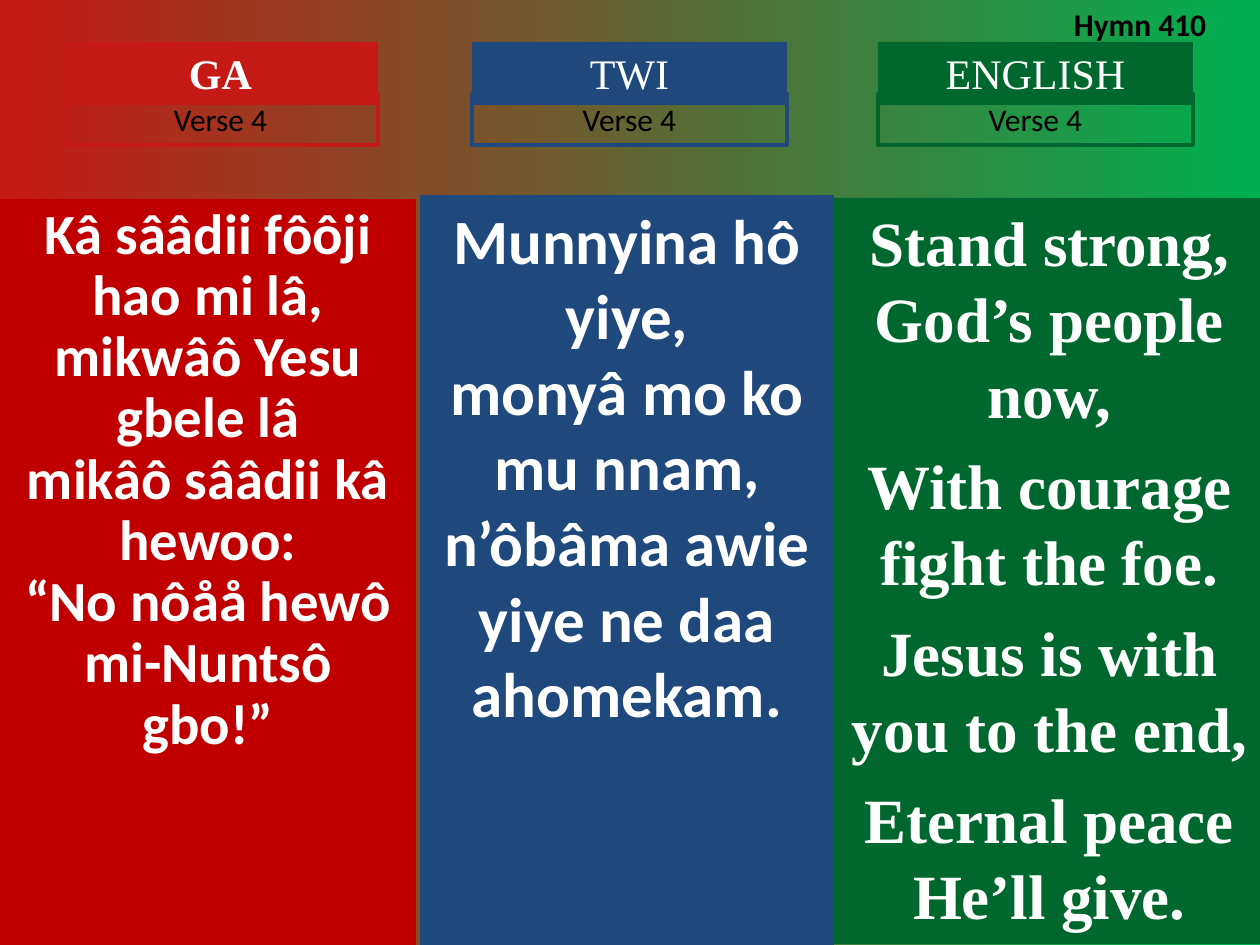
from dataclasses import dataclass

from pptx import Presentation
from pptx.dml.color import RGBColor
from pptx.enum.shapes import MSO_SHAPE
from pptx.enum.text import MSO_ANCHOR, MSO_AUTO_SIZE, PP_ALIGN
from pptx.oxml.xmlchemy import OxmlElement
from pptx.util import Pt

PX = 914400 / 126
RECT = MSO_SHAPE.RECTANGLE
TOP = MSO_ANCHOR.TOP
FIXED = MSO_AUTO_SIZE.NONE
LEFT, MID = PP_ALIGN.LEFT, PP_ALIGN.CENTER


@dataclass(frozen=True)
class Theme:
    """Colours, fonts and type sizes of the hymn slide."""
    white: str = "FFFFFF"
    black: str = "000000"
    red: str = "C51915"
    deep: str = "C00000"
    blue: str = "1F497D"
    green: str = "00682F"
    lime: str = "00B050"
    sans: str = "Calibri"
    serif: str = "Times New Roman"
    small: float = 18
    head: float = 24
    ga: float = 32.4
    verse: float = 36
    edge: float = 2.25


def emu(*box):
    """Turn px lengths into EMU."""
    return [round(n * PX) for n in box]


def write(shape, *lines, font, size, color, bold=False, align=MID,
          space=1.0, gap=0):
    """Write one paragraph per line with the given format."""
    frame = shape.text_frame
    frame.word_wrap = True
    frame.auto_size = FIXED
    frame.vertical_anchor = TOP
    frame.margin_left, frame.margin_top = emu(13, 6)
    frame.margin_right, frame.margin_bottom = emu(13, 6)
    for i, line in enumerate(lines):
        para = frame.paragraphs[0] if i == 0 else frame.add_paragraph()
        props = para._p.get_or_add_pPr()
        props.set("marL", "0")
        props.set("indent", "0")
        props.append(OxmlElement("a:buNone"))
        para.alignment = align
        para.line_spacing = space
        para.space_before = Pt(gap if i else 0)
        para.space_after = Pt(0)
        run = para.add_run()
        run.text = line
        run.font.name = font
        run.font.size = Pt(size)
        run.font.bold = bold
        run.font.color.rgb = RGBColor.from_string(color)


class Deck:
    """Holds the theme and the current slide."""

    def __init__(self, theme):
        """Start a deck with one three-column slide."""
        self.theme = theme
        self.file = Presentation()
        self.file.slide_width, self.file.slide_height = emu(1260, 945)
        self.slide = self.file.slides.add_slide(self.file.slide_layouts[4])
        spare = self.slide.placeholders[4]._element
        spare.getparent().remove(spare)

    def ground(self, *colors):
        """Fill the background with a level gradient."""
        fill = self.slide.background.fill
        fill.gradient()
        fill.gradient_angle = 0
        for stop, color in zip(fill.gradient_stops, colors):
            stop.color.rgb = RGBColor.from_string(color)

    def place(self, shape, box):
        """Move a placeholder to a px box."""
        shape.left, shape.top, shape.width, shape.height = emu(*box)
        return shape

    def title(self, text, box):
        """Write the hymn number in the title."""
        t = self.theme
        write(self.place(self.slide.shapes.title, box), text, font=t.sans,
              size=t.small, color=t.black, bold=True, align=LEFT)

    def panel(self, index, box, color, lines, **form):
        """Fill a body placeholder with the verse."""
        body = self.place(self.slide.placeholders[index], box)
        body.fill.solid()
        body.fill.fore_color.rgb = RGBColor.from_string(color)
        write(body, *lines, color=self.theme.white, bold=True, **form)

    def rect(self, box):
        """Add a plain rectangle."""
        shape = self.slide.shapes.add_shape(RECT, *emu(*box))
        shape.shadow.inherit = False
        return shape

    def head(self, text, x, color, bold):
        """Add a filled language label."""
        t = self.theme
        shape = self.rect((x, 42, 315, 63))
        shape.fill.solid()
        shape.fill.fore_color.rgb = RGBColor.from_string(color)
        shape.line.fill.background()
        write(shape, text, font=t.serif, size=t.head, color=t.white, bold=bold)

    def label(self, text, x, color):
        """Add an outlined verse label."""
        t = self.theme
        shape = self.rect((x, 94, 315, 51))
        shape.fill.background()
        shape.line.color.rgb = RGBColor.from_string(color)
        shape.line.width = Pt(t.edge)
        write(shape, text, font=t.sans, size=t.small, color=t.black)


def main():
    """Build the hymn slide."""
    t = Theme()
    deck = Deck(t)
    deck.ground(t.red, t.lime)
    deck.panel(1, (0, 199, 416, 746), t.deep, [
        "Kâ sââdii fôôji hao mi lâ,",
        "mikwâô Yesu gbele lâ",
        "mikâô sââdii kâ hewoo:",
        "“No nôåå hewô mi-Nuntsô gbo!”",
    ], font=t.sans, size=t.ga, space=0.9)
    deck.panel(2, (420, 195, 414, 750), t.blue, [
        "Munnyina hô yiye,",
        "monyâ mo ko mu nnam,",
        "n’ôbâma awie yiye ne daa ahomekam.",
    ], font=t.sans, size=t.verse)
    deck.panel(3, (834, 198, 431, 746), t.green, [
        "Stand strong, God’s people now,",
        "With courage fight the foe.",
        "Jesus is with you to the end,",
        "Eternal peace He’ll give.",
    ], font=t.serif, size=t.verse, gap=9)
    for name, x, color in (("GA", 63, t.red), ("TWI", 472, t.blue),
                           ("ENGLISH", 878, t.green)):
        deck.head(name, x, color, bold=name == "GA")
        deck.label("Verse 4", x, color)
    deck.title("Hymn 410", (1061, -1, 189, 50))
    deck.file.save("out.pptx")


if __name__ == "__main__":
    main()
